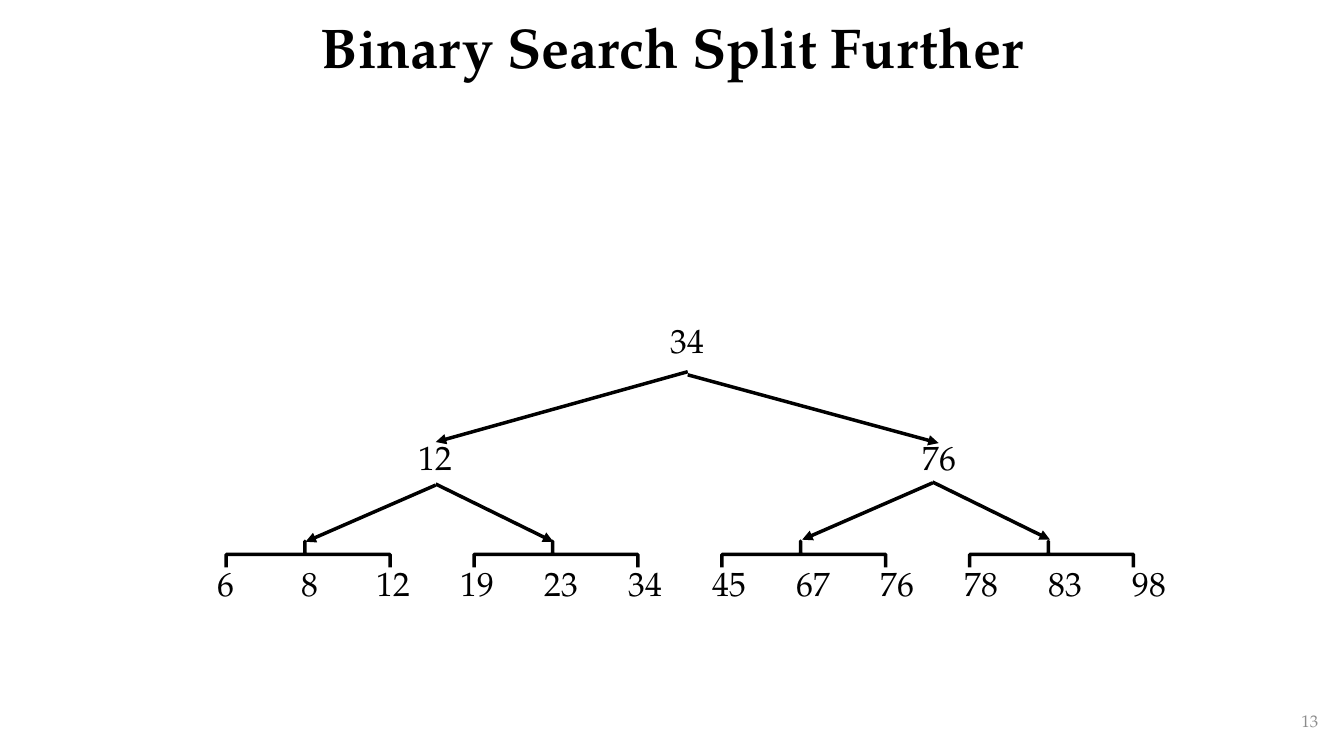
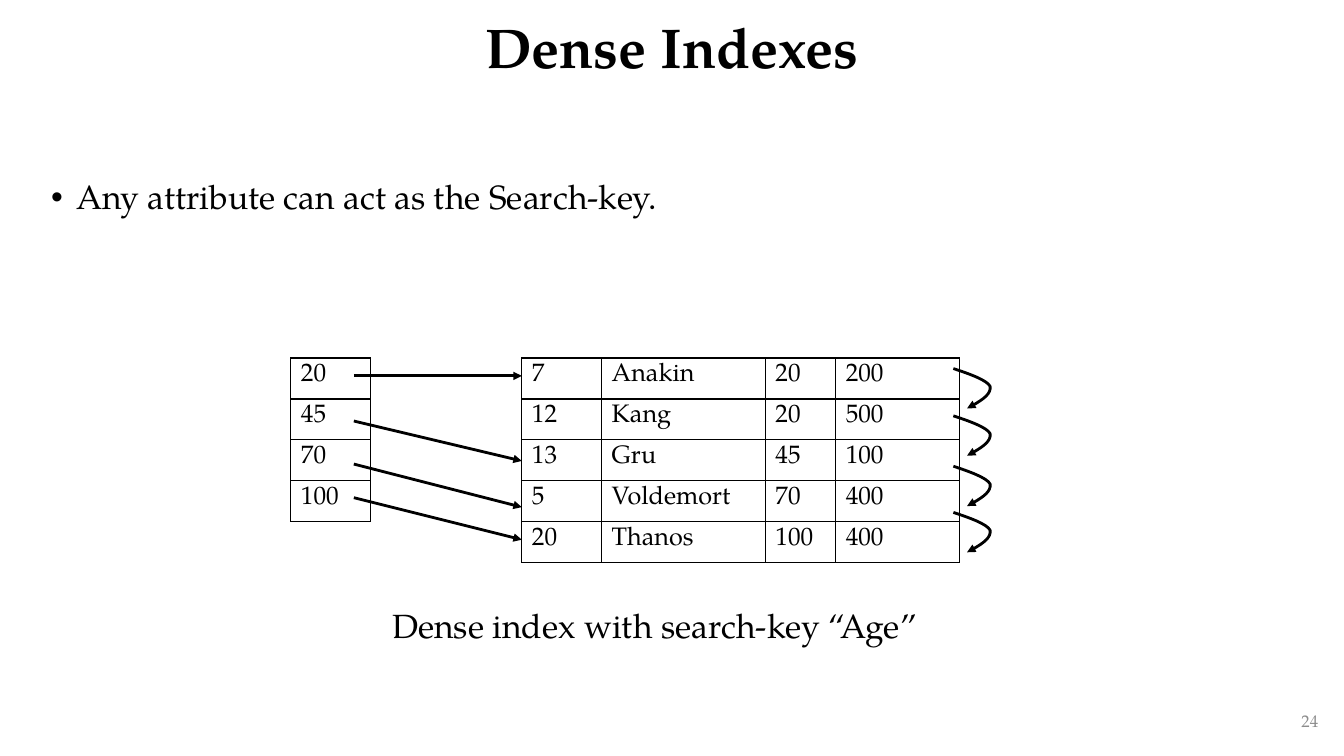
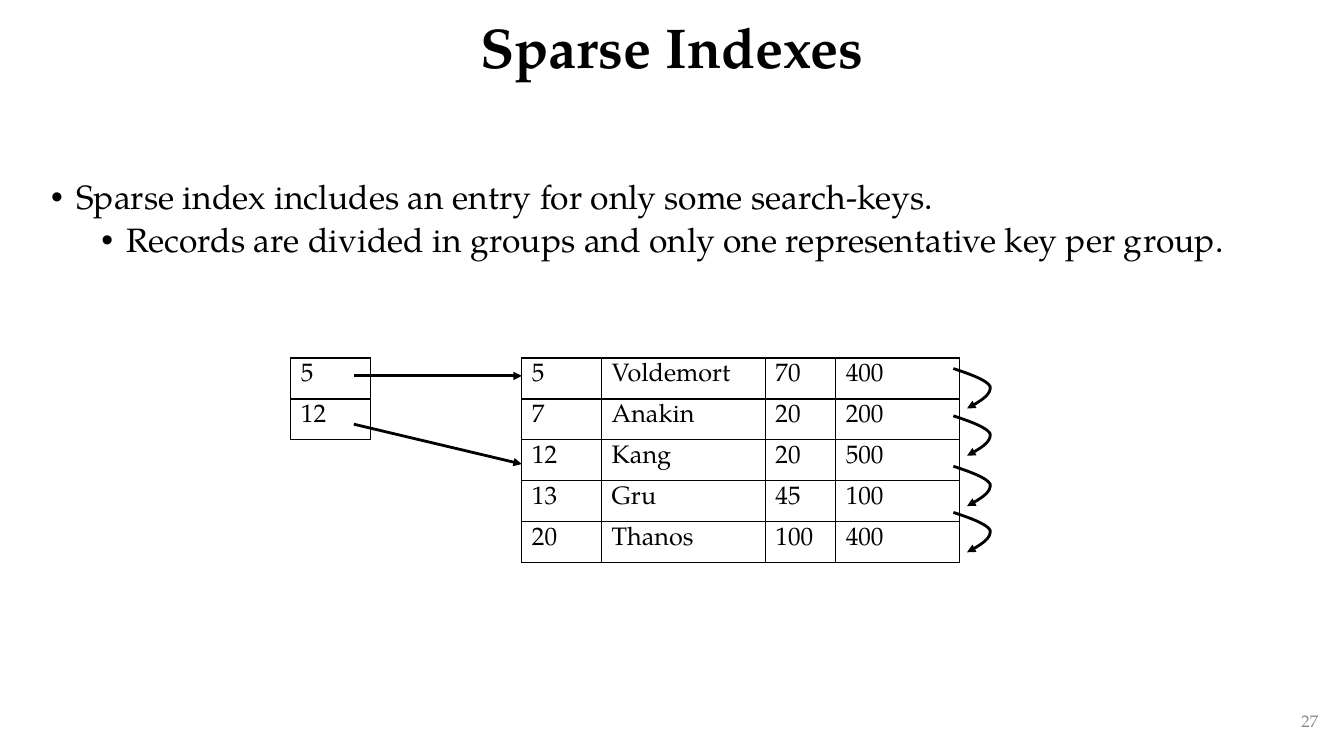
from dataclasses import dataclass

from lxml import etree
from pptx import Presentation
from pptx import util as u
from pptx.dml.color import RGBColor
from pptx.enum import shapes as es, text as et
from pptx.oxml import ns

PX = 9525
FONT = "TeX Gyre Pagella"
HUES = {"ink": "000000", "page": "8C8C8C"}
PLAIN = "{2D5ABB26-0587-4C30-8999-92F81FD0307C}"
ALIGN = et.PP_ALIGN


@dataclass(frozen=True)
class Box:
    x: int
    y: int
    w: int
    h: int

    def emu(self) -> list[int]:
        return [n * PX for n in (self.x, self.y, self.w, self.h)]


@dataclass(frozen=True)
class Arrow:
    x1: int
    y1: int
    x2: int
    y2: int


@dataclass(frozen=True)
class Index:
    title: str
    page: int
    points: list[str]
    keys: list[str]
    rows: list[list[str]]
    links: list[tuple[int, int]]
    note: str = ""


TITLE = Box(88, 0, 1104, 95)
BODY = Box(39, 167, 1241, 461)
PAGE = Box(977, 667, 288, 38)
NOTE = Box(364, 571, 526, 48)

TREE_X, TREE_W, TREE_H = 175, 960, 44
LEVELS = {
    309: ["34"],
    420: ["12", "76"],
    540: "6 8 12 19 23 34 45 67 76 78 83 98".split(),
}
BRACE, BRACE_GAP = Box(281, 450, 25, 156), 236
BRANCHES = [
    Arrow(655, 354, 415, 421), Arrow(655, 357, 894, 422),
    Arrow(415, 462, 291, 516), Arrow(415, 461, 527, 516),
    Arrow(888, 460, 764, 514), Arrow(888, 459, 1000, 514),
]

KEY_X, ROW_X, GRID_Y, ROW_H = 277, 497, 341, 39
KEY_W, COLS = [76], [76, 156, 67, 118]
LINK_X = 337
HOOK_X, HOOKS = 908, [351, 396, 444, 488]
BEND = [(15, 5), (32, 11), (35, 17), (36, 24), (25, 32), (13, 38)]

INDEXES = [
    Index(
        "Dense Indexes", 24,
        ["Any attribute can act as the Search-key."],
        ["20", "45", "70", "100"],
        [["7", "Anakin", "20", "200"],
         ["12", "Kang", "20", "500"],
         ["13", "Gru", "45", "100"],
         ["5", "Voldemort", "70", "400"],
         ["20", "Thanos", "100", "400"]],
        [(358, 358), (401, 439), (442, 483), (474, 514)],
        "Dense index with search-key “Age”",
    ),
    Index(
        "Sparse Indexes", 27,
        ["Sparse index includes an entry for only some search-keys.",
         "Records are divided in groups and only one representative key per group."],
        ["5", "12"],
        [["5", "Voldemort", "70", "400"],
         ["7", "Anakin", "20", "200"],
         ["12", "Kang", "20", "500"],
         ["13", "Gru", "45", "100"],
         ["20", "Thanos", "100", "400"]],
        [(358, 358), (404, 442)],
    ),
]


def rgb(hue: str) -> RGBColor:
    return RGBColor.from_string(HUES[hue])


def sub(node, tag: str, **attrs):
    return etree.SubElement(node, ns.qn(tag), attrs)


def write(para, words: str, size: int, align=ALIGN.LEFT, hue="ink", bold=False) -> None:
    para.alignment = align
    run = para.add_run()
    run.text = words
    font = run.font
    font.name, font.size, font.bold = FONT, u.Pt(size), bold
    font.color.rgb = rgb(hue)


def place(shape, box: Box):
    shape.left, shape.top, shape.width, shape.height = box.emu()
    frame = shape.text_frame
    frame.word_wrap = True
    frame.auto_size = et.MSO_AUTO_SIZE.NONE
    return frame


def label(slide, box: Box, words: str, size: int, **style) -> None:
    frame = place(slide.shapes.add_textbox(*box.emu()), box)
    frame.vertical_anchor = et.MSO_ANCHOR.MIDDLE
    write(frame.paragraphs[0], words, size, **style)


def start(prs, layout: int, title: str, page: int):
    """Add a slide with its title and page number."""
    slide = prs.slides.add_slide(prs.slide_layouts[layout])
    frame = place(slide.shapes.title, TITLE)
    frame.vertical_anchor = et.MSO_ANCHOR.MIDDLE
    para = frame.paragraphs[0]
    para.line_spacing = 0.9
    write(para, title, 40, ALIGN.CENTER, bold=True)
    label(slide, PAGE, str(page), 12, align=ALIGN.RIGHT, hue="page")
    return slide


def bullets(slide, points: list[str]) -> None:
    """Fill the body, each point one level below the last."""
    frame = place(slide.placeholders[1], BODY)
    for level, words in enumerate(points):
        para = frame.add_paragraph() if level else frame.paragraphs[0]
        para.level = level
        para.line_spacing = 0.9
        para.space_before = u.Pt(5 if level else 10)
        write(para, words, 24, ALIGN.JUSTIFY)
        props = para._p.get_or_add_pPr()
        props.set("marL", str((24 + 48 * level) * PX))
        props.set("indent", str(-24 * PX))
        sub(props, "a:buFont", typeface="Arial")
        sub(props, "a:buChar", char="•")


def edge(cell) -> None:
    props = cell._tc.get_or_add_tcPr()
    for side in ("L", "R", "T", "B"):
        line = sub(props, f"a:ln{side}", w=str(u.Pt(1)))
        sub(sub(line, "a:solidFill"), "a:srgbClr", val=HUES["ink"])


def grid(slide, x: int, y: int, cols: list[int], high: int, rows: list[list[str]],
         size: int, align=ALIGN.LEFT, ruled=True) -> None:
    box = Box(x, y, sum(cols), high * len(rows))
    table = slide.shapes.add_table(len(rows), len(cols), *box.emu()).table
    table.first_row = table.horz_banding = False
    table._tbl.tblPr.find(ns.qn("a:tableStyleId")).text = PLAIN
    for col, wide in zip(table.columns, cols):
        col.width = wide * PX
    for r, row in enumerate(rows):
        table.rows[r].height = high * PX
        for c, words in enumerate(row):
            cell = table.cell(r, c)
            if ruled:
                edge(cell)
            cell.fill.background()
            write(cell.text_frame.paragraphs[0], words, size, align)


def ink(shape, width: float) -> None:
    shape.line.color.rgb = rgb("ink")
    shape.line.width = u.Pt(width)


def tip(shape) -> None:
    sub(shape.line._get_or_add_ln(), "a:tailEnd", type="triangle")


def arrow(slide, at: Arrow, width: float) -> None:
    ends = [n * PX for n in (at.x1, at.y1, at.x2, at.y2)]
    line = slide.shapes.add_connector(es.MSO_CONNECTOR.STRAIGHT, *ends)
    ink(line, width)
    tip(line)
    sub(line._element.spPr, "a:effectLst")


def brace(slide, box: Box) -> None:
    shape = slide.shapes.add_shape(es.MSO_SHAPE.LEFT_BRACE, *box.emu())
    shape.rotation = 90
    shape.adjustments[0], shape.adjustments[1] = 0, 0.52
    shape.fill.background()
    shape.shadow.inherit = False
    ink(shape, 2.5)


def hook(slide, x: int, y: int) -> None:
    """Draw a curved arrow, turning each three line points into one Bézier."""
    build = slide.shapes.build_freeform(x, y, scale=PX)
    build.add_line_segments([(x + dx, y + dy) for dx, dy in BEND], close=False)
    shape = build.convert_to_shape()
    trace = shape._element.find(f".//{ns.qn('a:path')}")
    steps = trace.findall(ns.qn("a:lnTo"))
    for i in range(0, len(steps), 3):
        curve = sub(trace, "a:cubicBezTo")
        for step in steps[i:i + 3]:
            curve.append(step[0])
            trace.remove(step)
    shape.fill.background()
    shape.shadow.inherit = False
    ink(shape, 2)
    tip(shape)


def tree(prs) -> None:
    slide = start(prs, 5, "Binary Search Split Further", 13)
    for y, row in LEVELS.items():
        cols = [TREE_W // len(row)] * len(row)
        grid(slide, TREE_X, y, cols, TREE_H, [row], 24, ALIGN.CENTER, ruled=False)
    for i in range(4):
        brace(slide, Box(BRACE.x + i * BRACE_GAP, BRACE.y, BRACE.w, BRACE.h))
    for branch in BRANCHES:
        arrow(slide, branch, 2.5)


def index(prs, data: Index) -> None:
    slide = start(prs, 1, data.title, data.page)
    bullets(slide, data.points)
    grid(slide, ROW_X, GRID_Y, COLS, ROW_H, data.rows, 18)
    grid(slide, KEY_X, GRID_Y, KEY_W, ROW_H, [[key] for key in data.keys], 18)
    for y in HOOKS:
        hook(slide, HOOK_X, y)
    for y1, y2 in data.links:
        arrow(slide, Arrow(LINK_X, y1, ROW_X, y2), 2)
    if data.note:
        label(slide, NOTE, data.note, 24)


def main() -> None:
    prs = Presentation()
    prs.slide_width, prs.slide_height = 1280 * PX, 720 * PX
    tree(prs)
    for data in INDEXES:
        index(prs, data)
    prs.save("out.pptx")


if __name__ == "__main__":
    main()
